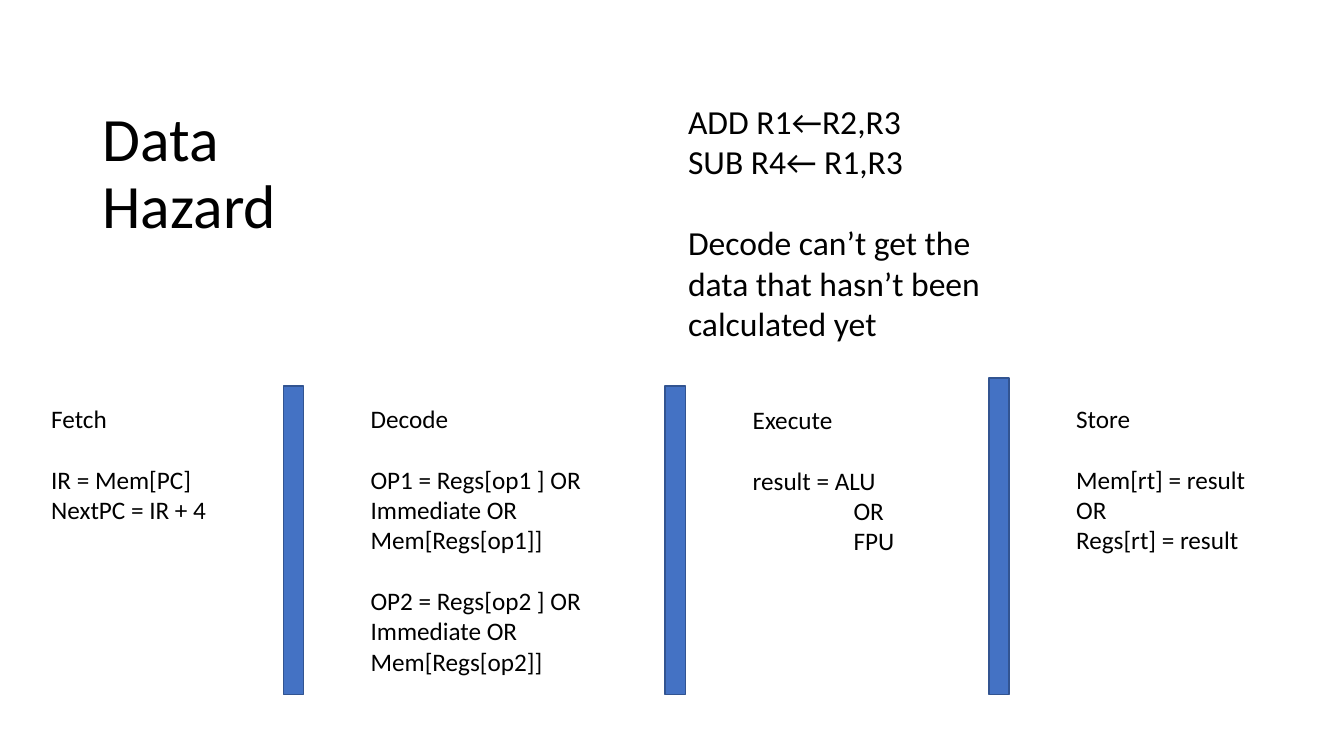
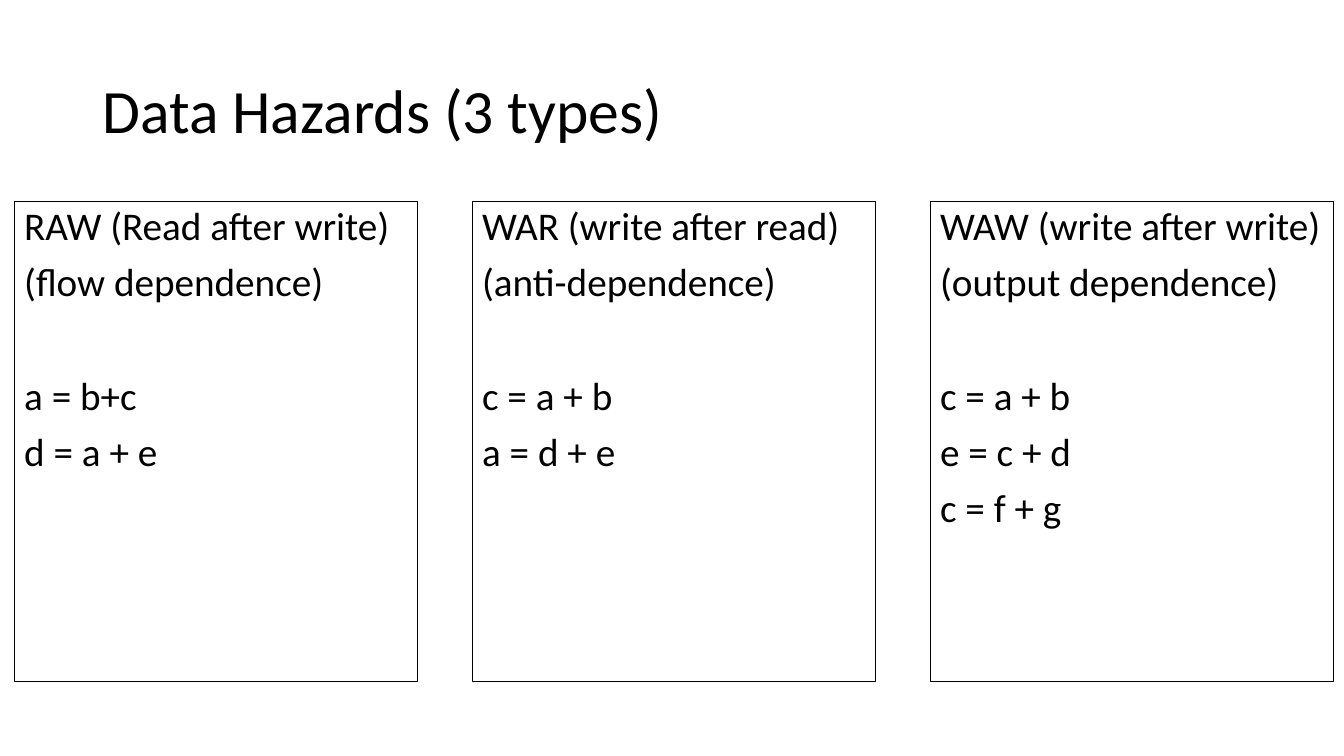
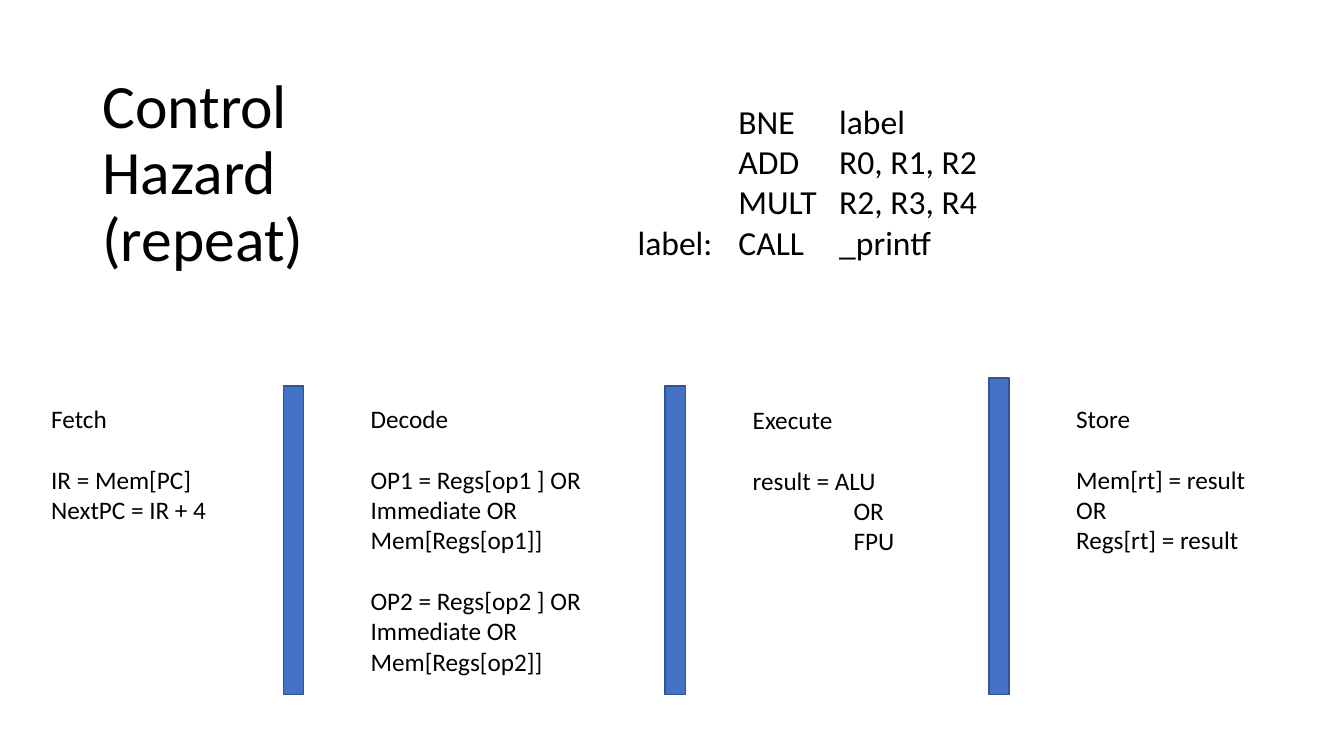
"""Build three slides on data and control hazards in a processor pipeline."""
from dataclasses import dataclass

from lxml import etree
from pptx import Presentation
from pptx import util as u
from pptx.dml import color
from pptx.enum import shapes, text
from pptx.oxml import ns

COLORS = {"ink": "000000", "latch": "4472C4", "latch_edge": "325491"}
FONT = "Calibri"
LINE_HEIGHT = 1.22
LATCH_BOTTOM = 17.5
LATCH_WIDTH = 0.51
PANEL_PITCH = 11.54


@dataclass(frozen=True)
class Area:
    """Position and size in centimetres."""
    left: float
    top: float
    width: float
    height: float


@dataclass(frozen=True)
class Line:
    """One paragraph, with an optional blank line above and a left indent."""
    words: str
    gap: bool = False
    indent: float = 0


@dataclass(frozen=True)
class Style:
    """Paragraph format shared by all lines of a box."""
    size: int
    spacing: float = 1.0
    before: float = 0
    tabs: tuple[float, ...] = ()


@dataclass(frozen=True)
class Block:
    """A box of text lines."""
    area: Area
    lines: tuple[Line, ...]


@dataclass(frozen=True)
class Latch:
    """A bar between two pipeline stages."""
    left: float
    top: float


TITLE = Style(44, spacing=0.9)
STAGE = Style(18)
CODE = Style(24, tabs=(2.54, 5.08))
PANEL = Style(28, spacing=0.9, before=10)

STAGES = (
    Block(Area(1.04, 10.03, 4.65, 3.33), (
        Line("Fetch"), Line("IR = Mem[PC]", gap=True), Line("NextPC = IR + 4"))),
    Block(Area(9.09, 10.03, 6.22, 8.71), (
        Line("Decode"),
        *(Line(f"{name} = Regs[{name.lower()} ] OR Immediate OR Mem[Regs[{name.lower()}]]", gap=True)
          for name in ("OP1", "OP2")))),
    Block(Area(18.72, 10.06, 4.72, 7.19), (
        Line("Execute"), Line("result = ALU", gap=True),
        Line("OR", indent=2.54), Line("FPU", indent=2.54))),
    Block(Area(26.87, 10.03, 5.26, 7.19), (
        Line("Store"), Line("Mem[rt] = result", gap=True), Line("OR"), Line("Regs[rt] = result"))),
)
LATCHES = (Latch(7.14, 9.73), Latch(16.76, 9.73), Latch(24.92, 9.53))

DATA_CODE = Block(Area(15.82, 2.41, 9.42, 6.4), (
    Line("ADD R1←R2,R3", indent=1.27),
    Line("SUB R4← R1,R3", indent=1.27),
    Line("Decode can’t get the", gap=True, indent=1.27),
    Line("data that hasn’t been \ncalculated yet", indent=1.27)))
CONTROL_CODE = Block(Area(15.82, 2.41, 9.14, 4.37), (
    Line("\tBNE \tlabel"), Line("\tADD\tR0, R1, R2"),
    Line("\tMULT\tR2, R3, R4"), Line("label:\tCALL \t_printf")))

HAZARDS = (
    ("RAW (Read after write)", "(flow dependence)", "a = b+c", "d = a + e"),
    ("WAR (write after read)", "(anti-dependence)", "c = a + b", "a = d + e"),
    ("WAW (write after write)", "(output dependence)", "c = a + b", "e = c + d", "c = f + g"),
)


def rgb(name: str) -> color.RGBColor:
    """Return a named colour."""
    return color.RGBColor.from_string(COLORS[name])


def place(area: Area) -> tuple[u.Cm, ...]:
    """Convert an area to lengths."""
    return tuple(u.Cm(value) for value in (area.left, area.top, area.width, area.height))


def write(box, lines: tuple[Line, ...], style: Style) -> None:
    """Fill a box with formatted paragraphs."""
    frame = box.text_frame
    frame.word_wrap = True
    for index, line in enumerate(lines):
        para = frame.add_paragraph() if index else frame.paragraphs[0]
        para.text = line.words
        para.alignment = text.PP_ALIGN.LEFT
        para.line_spacing = style.spacing
        blank = style.size * LINE_HEIGHT * style.spacing + style.before
        para.space_before = u.Pt(style.before + (blank if line.gap else 0))
        properties = para._p.get_or_add_pPr()
        properties.set("marL", str(u.Cm(line.indent)))
        if style.tabs:
            stops = etree.SubElement(properties, ns.qn("a:tabLst"))
            for stop in style.tabs:
                etree.SubElement(stops, ns.qn("a:tab"), pos=str(u.Cm(stop)), algn="l")
        for span in para.runs:
            span.font.name = FONT
            span.font.size = u.Pt(style.size)
            span.font.color.rgb = rgb("ink")


def add_text(page, block: Block, style: Style):
    """Add a text box."""
    box = page.shapes.add_textbox(*place(block.area))
    write(box, block.lines, style)
    return box


def add_page(deck, title: str, width: float, height: float):
    """Add a blank page with a title."""
    page = deck.slides.add_slide(deck.slide_layouts[6])
    box = add_text(page, Block(Area(2.33, 1.01, width, height), (Line(title),)), TITLE)
    box.text_frame.vertical_anchor = text.MSO_ANCHOR.MIDDLE
    return page


def add_rectangle(page, area: Area, edge: str, weight: float, fill: str | None = None):
    """Add a flat rectangle."""
    box = page.shapes.add_shape(shapes.MSO_SHAPE.RECTANGLE, *place(area))
    box.shadow.inherit = False
    box.line.color.rgb = rgb(edge)
    box.line.width = u.Pt(weight)
    if fill:
        box.fill.solid()
        box.fill.fore_color.rgb = rgb(fill)
    else:
        box.fill.background()
    return box


def add_pipeline(page) -> None:
    """Draw the four stages and the latches between them."""
    for stage in STAGES:
        add_text(page, stage, STAGE)
    for latch in LATCHES:
        area = Area(latch.left, latch.top, LATCH_WIDTH, LATCH_BOTTOM - latch.top)
        add_rectangle(page, area, "latch_edge", 1, "latch")


def add_hazards(page) -> None:
    """Draw one outlined panel for each hazard type."""
    for column, words in enumerate(HAZARDS):
        area = Area(0.36 + column * PANEL_PITCH, 5.08, 10.16, 12.09)
        box = add_rectangle(page, area, "ink", 0.75)
        box.text_frame.vertical_anchor = text.MSO_ANCHOR.TOP
        write(box, tuple(Line(word, gap=row == 2) for row, word in enumerate(words)), PANEL)


def main() -> None:
    """Build and save the deck."""
    deck = Presentation()
    deck.slide_width, deck.slide_height = u.Cm(33.87), u.Cm(19.05)

    page = add_page(deck, "Data\nHazard", 12.01, 6.81)
    add_pipeline(page)
    add_text(page, DATA_CODE, CODE)

    add_hazards(add_page(deck, "Data Hazards (3 types)", 29.21, 3.68))

    page = add_page(deck, "Control\nHazard\n(repeat)", 10.31, 6.78)
    add_pipeline(page)
    add_text(page, CONTROL_CODE, CODE)

    deck.save("out.pptx")


if __name__ == "__main__":
    main()
